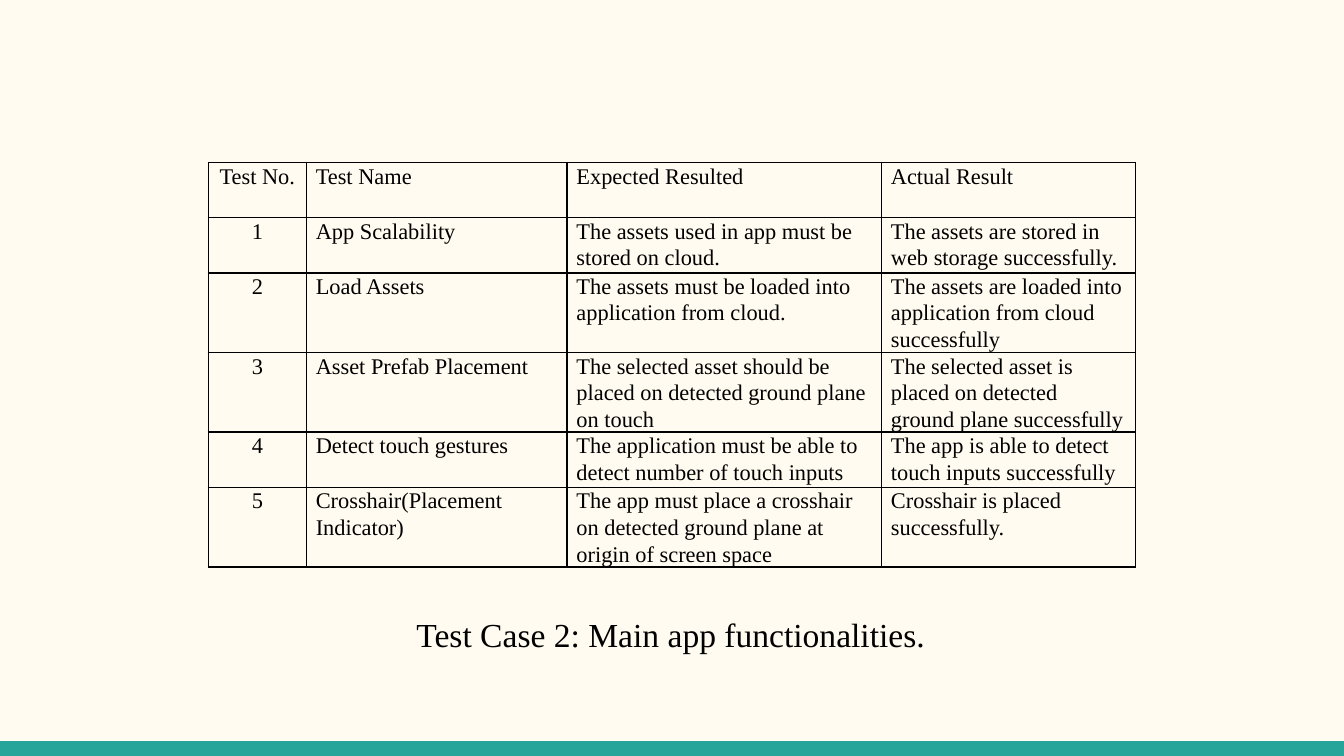
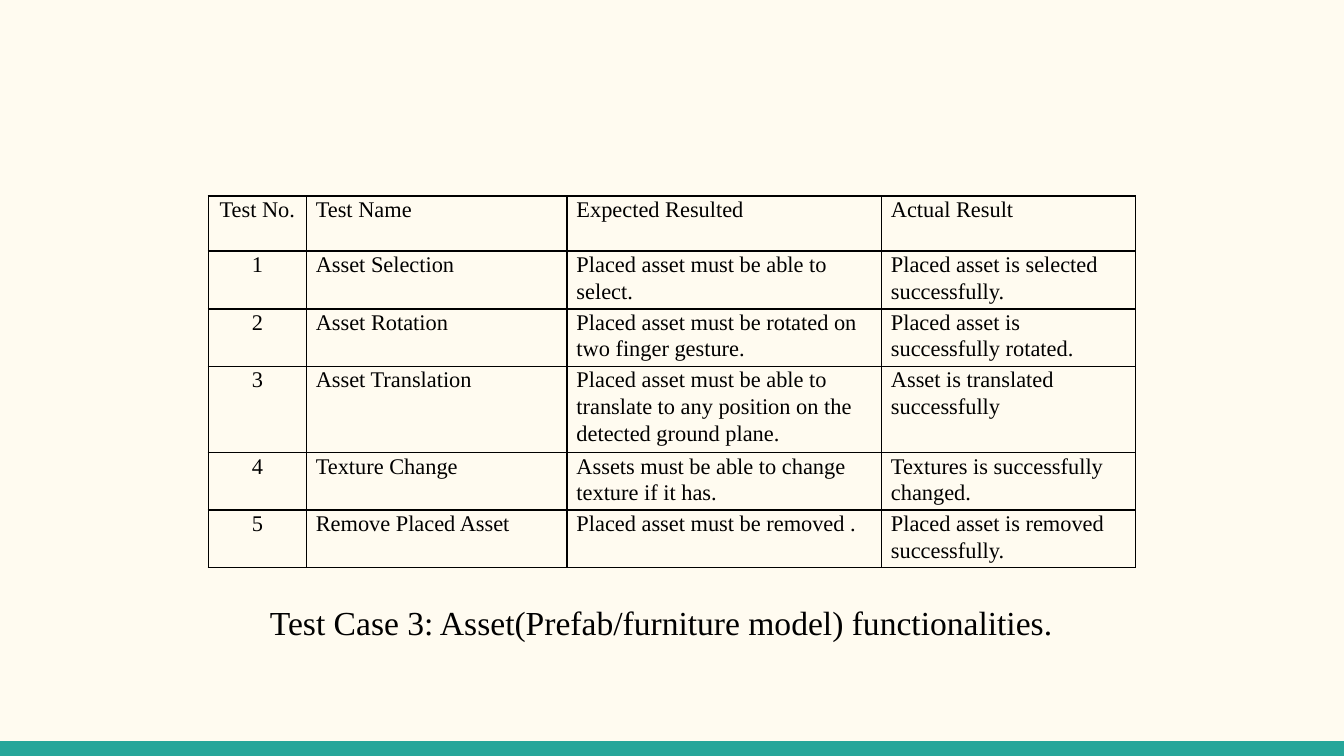
from lxml import etree
from pptx import Presentation
from pptx.dml.color import RGBColor
from pptx.enum.shapes import MSO_SHAPE
from pptx.enum.text import MSO_AUTO_SIZE, PP_ALIGN
from pptx.oxml.ns import qn
from pptx.util import Inches, Pt

RECT = MSO_SHAPE.RECTANGLE
GROW = MSO_AUTO_SIZE.SHAPE_TO_FIT_TEXT
CENTER = PP_ALIGN.CENTER
LEFT = PP_ALIGN.LEFT

CREAM = "FFFBF0"
TEAL = "26A69A"
BLACK = "000000"
FONT = "Times New Roman"
WIDTH = 10
HEIGHT = WIDTH * 9 / 16
BAND = 0.11
COLS = [0.73, 1.94, 2.34, 1.89]
ROW = 0.41
PAD = 0.07
HEAD = ["Test No.", "Test Name", "Expected Resulted", "Actual Result"]

MAIN_TESTS = [
    ("App Scalability",
     "The assets used in app must be stored on cloud.",
     "The assets are stored in web storage successfully."),
    ("Load Assets",
     "The assets must be loaded into application from cloud.",
     "The assets are loaded into application from cloud successfully"),
    ("Asset Prefab Placement",
     "The selected asset should be placed on detected ground plane on touch",
     "The selected asset is placed on detected ground plane successfully"),
    ("Detect touch gestures",
     "The application must be able to detect number of touch inputs",
     "The app is able to detect touch inputs successfully"),
    ("Crosshair(Placement Indicator)",
     "The app must place a crosshair on detected ground plane at origin of screen space",
     "Crosshair is placed successfully."),
]
ASSET_TESTS = [
    ("Asset Selection",
     "Placed asset must be able to select.",
     "Placed asset is selected successfully."),
    ("Asset Rotation",
     "Placed asset must be rotated on two finger gesture.",
     "Placed asset is successfully rotated."),
    ("Asset Translation",
     "Placed asset must be able to translate to any position on the detected ground plane.",
     "Asset is translated successfully"),
    ("Texture Change",
     "Assets must be able to change\ntexture if it has.",
     "Textures is successfully changed."),
    ("Remove Placed Asset",
     "Placed asset must be removed .",
     "Placed asset is removed successfully."),
]


def paint(color, code):
    color.rgb = RGBColor.from_string(code)


def style(frame, size, align=LEFT):
    for para in frame.paragraphs:
        para.alignment = align
        para.line_spacing = 1.07
        para.font.size = Pt(size)
        para.font.name = FONT
        paint(para.font.color, BLACK)


def add_page(prs):
    page = prs.slides.add_slide(prs.slide_layouts[6])
    fill = page.background.fill
    fill.solid()
    paint(fill.fore_color, CREAM)
    band = page.shapes.add_shape(RECT, 0, Inches(HEIGHT - BAND),
                                 Inches(WIDTH), Inches(BAND))
    band.shadow.inherit = False
    band.fill.solid()
    paint(band.fill.fore_color, TEAL)
    band.line.fill.background()
    return page


def add_border(cell):
    props = cell._tc.get_or_add_tcPr()
    for side in ("a:lnL", "a:lnR", "a:lnT", "a:lnB"):
        line = etree.SubElement(props, qn(side), w=str(Pt(1)))
        fill = etree.SubElement(line, qn("a:solidFill"))
        etree.SubElement(fill, qn("a:srgbClr"), val=BLACK)


def fill_cell(cell, text, align):
    cell.text = text
    cell.margin_left = cell.margin_right = Inches(PAD)
    cell.margin_top = cell.margin_bottom = 0
    style(cell.text_frame, 12, align)
    add_border(cell)
    cell.fill.background()


def add_tests(page, top, height, tests):
    rows = [HEAD] + [[str(num), *test] for num, test in enumerate(tests, 1)]
    holder = page.shapes.add_table(len(rows), len(COLS), Inches(1.55), Inches(top),
                                   Inches(sum(COLS)), Inches(height))
    grid = holder.table
    grid.first_row = False
    grid.horz_banding = False
    for col, width in zip(grid.columns, COLS):
        col.width = Inches(width)
    for r, row in enumerate(rows):
        grid.rows[r].height = Inches(ROW)
        for c, text in enumerate(row):
            fill_cell(grid.cell(r, c), text, LEFT if c else CENTER)
    holder.height = Inches(height)


def add_label(page, left, top, width, text):
    box = page.shapes.add_textbox(Inches(left), Inches(top), Inches(width), Inches(0.41))
    frame = box.text_frame
    frame.word_wrap = False
    frame.auto_size = GROW
    frame.text = text
    style(frame, 18)
    frame.paragraphs[0].space_after = Pt(8)


def main():
    prs = Presentation()
    prs.slide_width = Inches(WIDTH)
    prs.slide_height = Inches(HEIGHT)

    page = add_page(prs)
    add_tests(page, 1.21, 3.14, MAIN_TESTS)
    add_label(page, 3, 4.5, 3.99, "Test Case 2: Main app functionalities.")

    page = add_page(prs)
    add_tests(page, 1.46, 2.71, ASSET_TESTS)
    add_label(page, 1.91, 4.41, 6.18,
              "Test Case 3: Asset(Prefab/furniture model) functionalities.")

    prs.save("out.pptx")


if __name__ == "__main__":
    main()
